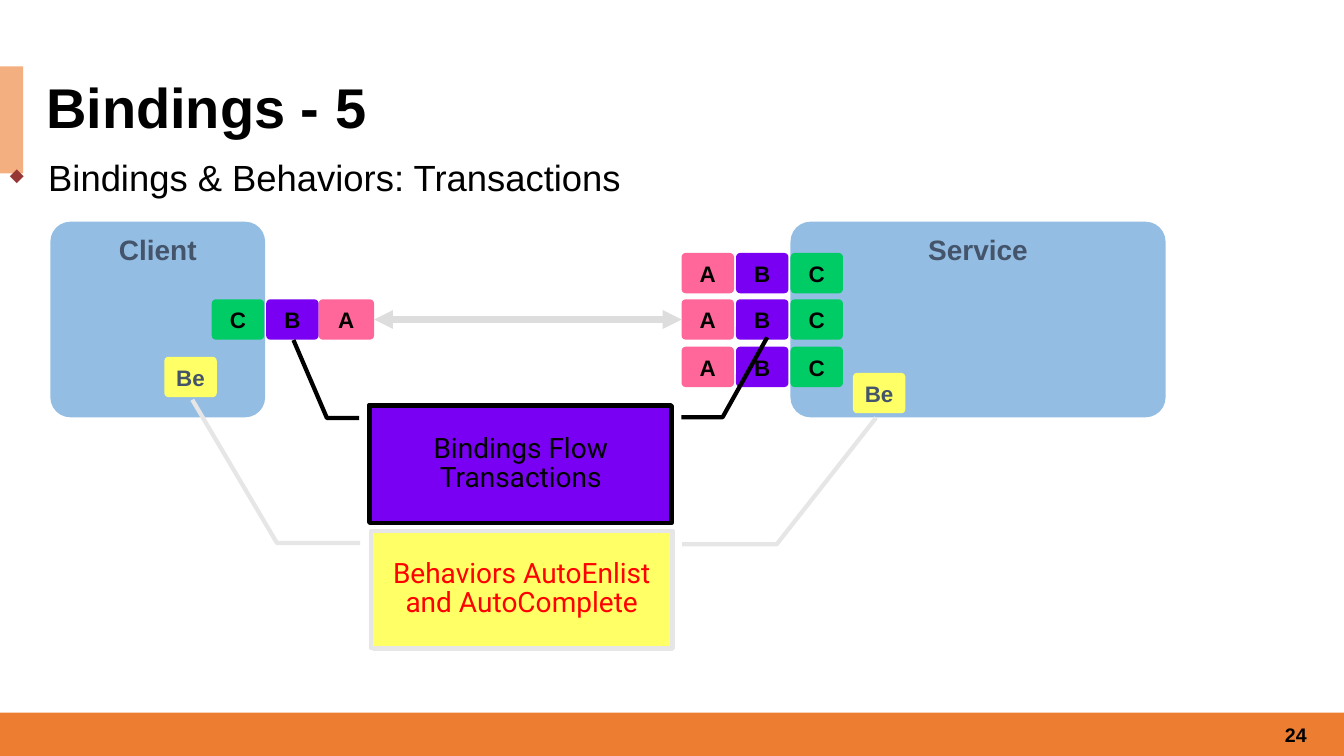
from dataclasses import dataclass

from lxml.etree import SubElement
from pptx import Presentation
from pptx.dml.color import RGBColor
from pptx.enum.shapes import MSO_CONNECTOR, MSO_SHAPE
from pptx.enum.text import MSO_ANCHOR as Anchor, PP_ALIGN as Align
from pptx.oxml.ns import qn
from pptx.util import Inches, Pt


@dataclass(frozen=True)
class Theme:
    orange: str = "ED7D31"
    peach: str = "F4AF80"
    blue: str = "5B9BD5"
    green: str = "00CC66"
    purple: str = "7900F2"
    pink: str = "FF6699"
    yellow: str = "FFFF66"
    slate: str = "44546A"
    black: str = "000000"
    red: str = "FF0000"
    arrow: str = "DDDDDD"
    pale: str = "E7E6E6"
    bullet: str = "973735"
    font: str = "Arial"
    callout_font: str = "Roboto"
    title_size: int = 40
    body_size: int = 26
    label_size: int = 20
    chip_size: int = 16
    number_size: int = 14


theme = Theme()
presentation = Presentation()
presentation.slide_width = Inches(13.33)
presentation.slide_height = Inches(7.5)
slide = presentation.slides.add_slide(presentation.slide_layouts[6])


def add_box(kind, box, fill, opacity=100, outline=None):
    shape = slide.shapes.add_shape(kind, *map(Inches, box))
    shape.shadow.inherit = False
    shape.fill.solid()
    shape.fill.fore_color.rgb = RGBColor.from_string(fill)
    if opacity < 100:
        color = shape._element.spPr.find(qn("a:solidFill"))[0]
        SubElement(color, qn("a:alpha"), val=str(opacity * 1000))
    if outline:
        shape.line.color.rgb = RGBColor.from_string(outline)
        shape.line.width = Pt(3)
    else:
        shape.line.fill.background()
    return shape


def write(shape, text, size, color, align, anchor, bold=True, font=theme.font, wrap=True, spacing=1.0):
    frame = shape.text_frame
    frame.word_wrap = wrap
    frame.vertical_anchor = anchor
    paragraph = frame.paragraphs[0]
    paragraph.alignment = align
    paragraph.line_spacing = spacing
    run = paragraph.add_run()
    run.text = text
    run.font.name = font
    run.font.size = Pt(size)
    run.font.bold = bold
    run.font.color.rgb = RGBColor.from_string(color)
    return paragraph


add_box(MSO_SHAPE.RECTANGLE, (0, 7.07, 13.33, 0.44), theme.orange)
add_box(MSO_SHAPE.RECTANGLE, (0, 0.66, 0.23, 1.06), theme.peach)

title = slide.shapes.add_textbox(Inches(0.36), Inches(0.74), Inches(12.97), Inches(0.71))
write(title, "Bindings - 5", theme.title_size, theme.black, Align.LEFT, Anchor.MIDDLE, spacing=0.9)

body = slide.shapes.add_textbox(Inches(0), Inches(1.45), Inches(13.33), Inches(5.59))
topic = write(body, "Bindings & Behaviors: Transactions", theme.body_size, theme.black,
              Align.JUSTIFY, Anchor.TOP, bold=False, spacing=1.1)
properties = topic._p.get_or_add_pPr()
properties.set("marL", str(Inches(0.38)))
properties.set("indent", str(Inches(-0.38)))
bullet_color = SubElement(properties, qn("a:buClr"))
SubElement(bullet_color, qn("a:srgbClr"), val=theme.bullet)
SubElement(properties, qn("a:buSzPct"), val="50000")
SubElement(properties, qn("a:buChar"), char="◆")

number = slide.shapes.add_textbox(Inches(10.06), Inches(7.09), Inches(3), Inches(0.4))
write(number, "24", theme.number_size, theme.black, Align.RIGHT, Anchor.MIDDLE)

for name, left, width in (("Service", 7.84, 3.72), ("Client", 0.5, 2.13)):
    panel = add_box(MSO_SHAPE.ROUNDED_RECTANGLE, (left, 2.2, width, 1.94), theme.blue, 65)
    panel.adjustments[0] = 0.102
    write(panel, name, theme.label_size, theme.slate, Align.CENTER, Anchor.TOP, wrap=False)

endpoint_colors = {"A": theme.pink, "B": theme.purple, "C": theme.green}
service_rows = (2.51, 2.97, 3.44)
chips = [(letter, 6.76 + 0.54 * column, top, 0.52)
         for top in service_rows for column, letter in enumerate("ABC")]
chips += [("C", 2.1, 2.97, 0.52), ("B", 2.64, 2.97, 0.52), ("A", 3.16, 2.97, 0.55)]
chips += [("Be", 8.46, 3.7, 0.52), ("Be", 1.63, 3.54, 0.52)]
address_chips = []
for letter, left, top, width in chips:
    chip = add_box(MSO_SHAPE.ROUNDED_RECTANGLE, (left, top, width, 0.4),
                   endpoint_colors.get(letter, theme.yellow))
    chip.adjustments[0] = 0.102
    write(chip, letter, theme.chip_size, theme.slate if letter == "Be" else theme.black,
          Align.CENTER, Anchor.BOTTOM, wrap=False)
    if letter == "A":
        address_chips.append(chip)

channel = slide.shapes.add_connector(MSO_CONNECTOR.STRAIGHT, Inches(3.71), Inches(3.17), Inches(6.76), Inches(3.17))
channel.begin_connect(address_chips[3], 3)
channel.end_connect(address_chips[1], 1)
channel.line.color.rgb = RGBColor.from_string(theme.arrow)
channel.line.width = Pt(4.5)
line_properties = channel.line._get_or_add_ln()
for arrowhead in ("a:headEnd", "a:tailEnd"):
    SubElement(line_properties, qn(arrowhead), type="triangle")
SubElement(channel._element.spPr, qn("a:effectLst"))

callouts = (
    ((3.66, 4.02, 2.99, 1.16), 180, (0.898, -0.036, 0.898, -0.173, 1.581, -0.321),
     theme.purple, 65, theme.black, "", theme.black),
    ((3.67, 4.03, 2.99, 1.16), 0, (0.102, -0.036, 0.102, -0.143, -0.566, -0.254),
     theme.purple, 100, theme.black, "Bindings Flow Transactions", theme.black),
    ((3.71, 5.28, 2.95, 1.16), 180, (0.898, -0.036, 0.898, -0.354, 1.98, -0.688),
     theme.yellow, 100, theme.pale, "", theme.red),
    ((3.68, 5.27, 2.99, 1.16), 0, (0.102, -0.036, 0.102, -0.312, -1.124, -0.593),
     theme.yellow, 100, theme.pale, "Behaviors AutoEnlist and AutoComplete", theme.red),
)
for box, rotation, leader, fill, opacity, outline, text, color in callouts:
    callout = add_box(MSO_SHAPE.LINE_CALLOUT_2, box, fill, opacity, outline)
    callout.rotation = rotation
    for index, value in enumerate(leader):
        callout.adjustments[index] = value
    if text:
        write(callout, text, theme.label_size, color, Align.CENTER, Anchor.MIDDLE,
              bold=False, font=theme.callout_font, spacing=0.85)

presentation.save("out.pptx")
